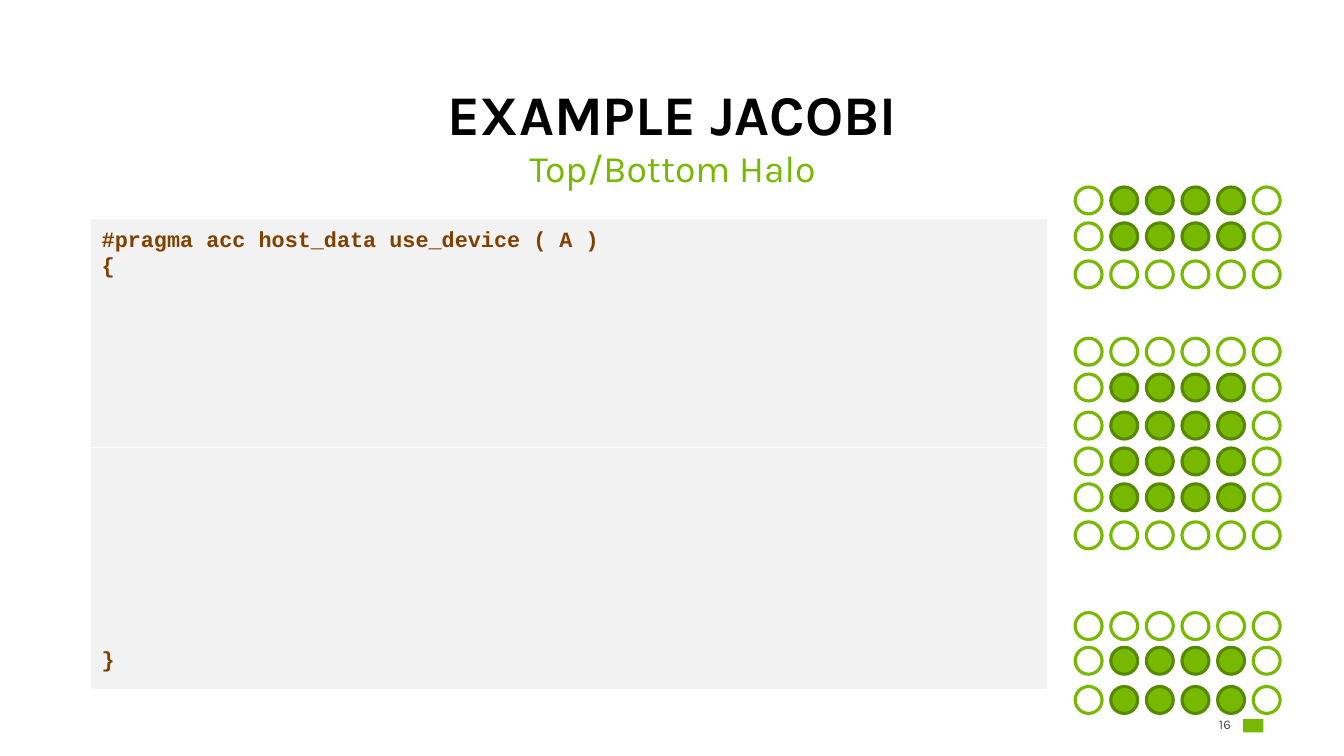
import pptx
import pptx.dml.color
import pptx.enum.shapes
import pptx.enum.text
import pptx.util

Inches = pptx.util.Inches
Pt = pptx.util.Pt
ALIGN = pptx.enum.text.PP_ALIGN
ANCHOR = pptx.enum.text.MSO_ANCHOR
SHAPE = pptx.enum.shapes.MSO_SHAPE

COLORS = {
    "black": "000000", "gray": "505050", "panel": "F2F2F2", "white": "FFFFFF",
    "green": "76B900", "dark_green": "578900", "brown": "804000",
}

TITLE = "EXAMPLE JACOBI"
SUBTITLE = "Top/Bottom Halo"
PAGE_NUMBER = "16"
CODE = ["#pragma acc host_data use_device ( A )", "{", "}"]
CODE_PITCH = 16.9
CODE_GAP_LINES = 14

PANELS = [(0.81, 4, 8.54, 2.15), (0.81, 1.96, 8.54, 2.03)]
LOGO_MARK = (11.1, 6.42, 0.18, 0.12)

HALO, INNER = "......", ".####."
GRIDS = [
    [(3.02, HALO), (3.34, INNER), (3.68, INNER), (4, INNER), (4.32, INNER), (4.66, HALO)],
    [(1.67, INNER), (1.99, INNER), (2.33, HALO)],
    [(5.47, HALO), (5.78, INNER), (6.13, INNER)],
]
DOT_LEFT, DOT_STEP, DOT_SIZE = 9.6, 0.318, 0.24
DOT_STYLES = {".": ("white", "green"), "#": ("green", "dark_green")}


def color(name):
    return pptx.dml.color.RGBColor.from_string(COLORS[name])


def apply(target, values):
    for name, value in values.items():
        setattr(target, name, value)


def add_shape(shapes, kind, place, fill, line=None):
    shape = shapes.add_shape(kind, *map(Inches, place))
    shape.shadow.inherit = False
    shape.fill.solid()
    shape.fill.fore_color.rgb = color(fill)
    if line:
        shape.line.color.rgb = color(line)
        shape.line.width = Pt(2)
    else:
        shape.line.fill.background()


def fill_text(box, place, lines, font, ink, frame=None, para_format=None):
    apply(box, dict(zip(("left", "top", "width", "height"), map(Inches, place))))
    apply(box.text_frame, {"word_wrap": True, **(frame or {})})
    box.text_frame.text = "\n".join(lines)
    for para in box.text_frame.paragraphs:
        apply(para, para_format or {})
        apply(para.font, font)
        para.font.color.rgb = color(ink)
    return box


def add_text(page, place, *details):
    return fill_text(page.shapes.add_textbox(*map(Inches, place)), place, *details)


def main():
    deck = pptx.Presentation()
    apply(deck, {"slide_width": Inches(12), "slide_height": Inches(6.75)})
    page = deck.slides.add_slide(deck.slide_layouts[5])

    centered = {"alignment": ALIGN.CENTER, "line_spacing": 0.9}
    fill_text(page.shapes.title, (0.55, 0.72, 10.91, 0.65), [TITLE],
              {"name": "Karla", "size": Pt(36), "bold": True}, "black",
              {"vertical_anchor": ANCHOR.BOTTOM}, centered)
    add_text(page, (0.55, 1.29, 10.91, 0.57), [SUBTITLE],
             {"name": "Karla", "size": Pt(24)}, "green", None, centered)

    margins = dict.fromkeys(("margin_left", "margin_top", "margin_right", "margin_bottom"), 0)
    add_text(page, (10.68, 6.38, 0.31, 0.18), [PAGE_NUMBER],
             {"name": "Karla", "size": Pt(8.5)}, "gray",
             {**margins, "vertical_anchor": ANCHOR.MIDDLE}, {"alignment": ALIGN.RIGHT})
    add_shape(page.shapes, SHAPE.RECTANGLE, LOGO_MARK, "green")

    for place in PANELS:
        add_shape(page.shapes, SHAPE.RECTANGLE, place, "panel")

    for grid in GRIDS:
        group = page.shapes.add_group_shape()
        for top, cells in grid:
            for column, cell in enumerate(cells):
                place = (DOT_LEFT + column * DOT_STEP, top, DOT_SIZE, DOT_SIZE)
                add_shape(group.shapes, SHAPE.OVAL, place, *DOT_STYLES[cell])

    code = add_text(page, (0.81, 1.95, 4.67, 4.11), CODE,
                    {"name": "Courier New", "size": Pt(14), "bold": True}, "brown",
                    {"word_wrap": False, "vertical_anchor": ANCHOR.MIDDLE},
                    {"alignment": ALIGN.LEFT, "line_spacing": Pt(CODE_PITCH)})
    code.text_frame.paragraphs[-1].space_before = Pt(CODE_GAP_LINES * CODE_PITCH)

    deck.save("out.pptx")


if __name__ == "__main__":
    main()
